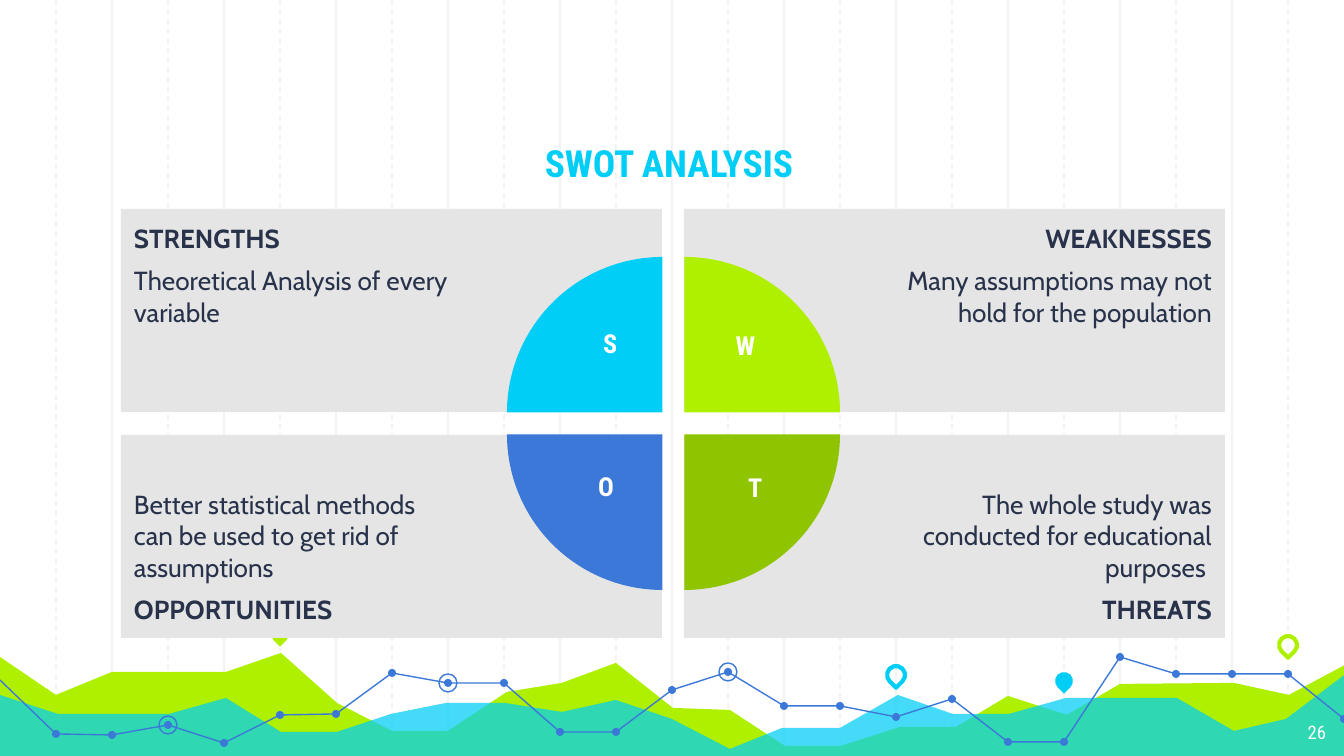
"""Build a SWOT analysis slide over a decorative chart landscape."""
from dataclasses import dataclass
from typing import Optional

from lxml import etree
from pptx import Presentation
from pptx.dml.color import RGBColor
from pptx.enum import dml, shapes, text
from pptx.oxml import ns
from pptx.util import Emu, Pt

EMU_PER_PX = 914400 / 134.4
WIDTH, HEIGHT, STEP = 1344, 756, 56
INSET, WIDE_INSET = 13, 202

CYAN = RGBColor(0x00, 0xCE, 0xF6)
LIME = RGBColor(0xAF, 0xF0, 0x00)
GREEN = RGBColor(0x8E, 0xC4, 0x00)
BLUE = RGBColor(0x3C, 0x78, 0xD8)
NAVY = RGBColor(0x28, 0x32, 0x4A)
GREY = RGBColor(0xE5, 0xE5, 0xE5)
PALE = RGBColor(0xF3, 0xF3, 0xF3)
WHITE = RGBColor(0xFF, 0xFF, 0xFF)
HEADING_FONT, BODY_FONT = "Roboto Condensed", "Cabin"

LIME_HILLS = [
    (-3, 655), (56, 695), (112, 672), (226, 672), (281, 653), (337, 703), (392, 731),
    (448, 731), (507, 692), (562, 683), (616, 663), (673, 708), (730, 710), (785, 746),
    (841, 746), (900, 727), (956, 727), (1008, 696), (1067, 715), (1120, 684),
    (1234, 683), (1289, 695), (1347, 664), (1346, 758), (-4, 758),
]
CYAN_HILLS = [
    (-3, 694), (58, 714), (169, 714), (226, 698), (281, 732), (337, 732), (391, 714),
    (446, 703), (505, 703), (562, 712), (616, 700), (672, 719), (730, 749), (782, 728),
    (840, 728), (898, 695), (953, 714), (1009, 714), (1066, 698), (1177, 698),
    (1234, 731), (1286, 719), (1347, 673), (1347, 759), (-4, 759),
]
TREND_HEIGHTS = [
    680, 734, 735, 725, 743, 715, 714, 673, 683, 683, 732, 732, 690,
    672, 706, 706, 717, 699, 742, 742, 657, 674, 674, 674, 719,
]
TREND = [(index * STEP, y) for index, y in enumerate(TREND_HEIGHTS)]
TREND_SECTIONS = [(0, 11), (11, 20), (20, 24)]
RINGED_POINTS = [3, 8, 13]


@dataclass(frozen=True)
class Box:
    """A rectangle in px."""
    left: int
    top: int
    width: int
    height: int

    def emu(self) -> list[Emu]:
        """Return the four lengths in EMU."""
        return [px(n) for n in (self.left, self.top, self.width, self.height)]


@dataclass(frozen=True)
class Pin:
    """A map pin, either filled or outlined."""
    x: int
    y: int
    color: RGBColor
    filled: bool


@dataclass(frozen=True)
class Quadrant:
    """One SWOT card with its pie quarter and letter."""
    heading: str
    body: str
    column: int
    row: int
    color: RGBColor
    rotation: int
    letter_box: Box


PINS = [
    Pin(280, 634, LIME, True), Pin(896, 675, CYAN, False),
    Pin(1064, 681, CYAN, True), Pin(1288, 645, LIME, False),
]
QUADRANTS = [
    Quadrant("STRENGTHS", "Theoretical Analysis of every variable",
             0, 0, CYAN, 0, Box(590, 321, 35, 66)),
    Quadrant("WEAKNESSES", "Many assumptions may not hold for the population",
             1, 0, LIME, 90, Box(720, 323, 51, 65)),
    Quadrant("OPPORTUNITIES", "Better statistical methods can be used to get rid of assumptions",
             0, 1, BLUE, 270, Box(585, 464, 39, 66)),
    Quadrant("THREATS", "The whole study was conducted for educational purposes ",
             1, 1, GREEN, 180, Box(735, 465, 34, 65)),
]


def px(length: int) -> Emu:
    """Convert px to EMU."""
    return Emu(round(length * EMU_PER_PX))


def paint(shape, fill: Optional[RGBColor], line: Optional[RGBColor] = None, weight: float = 0.75) -> None:
    """Set fill and outline and drop the shadow."""
    shape.shadow.inherit = False
    if fill is None:
        shape.fill.background()
    else:
        shape.fill.solid()
        shape.fill.fore_color.rgb = fill
    if line is None:
        shape.line.fill.background()
    else:
        shape.line.color.rgb = line
        shape.line.width = Pt(weight)


def add_preset(slide, kind, box: Box, fill: Optional[RGBColor],
               line: Optional[RGBColor] = None, weight: float = 0.75):
    """Add a painted preset shape."""
    shape = slide.shapes.add_shape(kind, *box.emu())
    paint(shape, fill, line, weight)
    return shape


def add_circle(slide, center: tuple[int, int], size: int, fill, line=None) -> None:
    """Add a circle around a centre point."""
    x, y = center
    box = Box(x - size // 2, y - size // 2, size, size)
    add_preset(slide, shapes.MSO_SHAPE.OVAL, box, fill, line)


def add_path(slide, points: list[tuple[int, int]], closed: bool):
    """Add a freeform through the points."""
    builder = slide.shapes.build_freeform(*points[0], scale=EMU_PER_PX)
    builder.add_line_segments(points[1:], close=closed)
    return builder.convert_to_shape()


def add_grid_line(slide, x: int, dashed: bool) -> None:
    """Add one vertical grid line."""
    line = slide.shapes.add_connector(shapes.MSO_CONNECTOR.STRAIGHT, px(x), 0, px(x), px(760))
    line.line.color.rgb = PALE
    line.line.width = Pt(0.75)
    if dashed:
        line.line.dash_style = dml.MSO_LINE.DASH
    etree.SubElement(line.element.spPr, ns.qn("a:effectLst"))


def add_pin(slide, pin: Pin) -> None:
    """Add a teardrop pin pointing down."""
    fill, line = (pin.color, None) if pin.filled else (None, pin.color)
    box = Box(pin.x - 9, pin.y - 9, 18, 18)
    add_preset(slide, shapes.MSO_SHAPE.TEAR, box, fill, line, 2.25).rotation = 135


def style(paragraph, font: str, size: int, color: RGBColor, bold: bool, alignment) -> None:
    """Format a whole paragraph."""
    paragraph.alignment = alignment
    paragraph.font.name = font
    paragraph.font.size = Pt(size)
    paragraph.font.color.rgb = color
    paragraph.font.bold = bold


def set_insets(frame, left: int, right: int) -> None:
    """Set the margins of a text frame and let it wrap."""
    frame.word_wrap = True
    frame.margin_left, frame.margin_right = px(left), px(right)
    frame.margin_top = frame.margin_bottom = px(INSET)


def add_label(slide, box: Box, words: str, size: int, bold: bool, alignment):
    """Add a white one-line label."""
    frame = slide.shapes.add_textbox(*box.emu()).text_frame
    frame.word_wrap = True
    frame.text = words
    style(frame.paragraphs[0], HEADING_FONT, size, WHITE, bold, alignment)
    return frame


def add_card(slide, quadrant: Quadrant) -> None:
    """Add the grey card of a quadrant with heading and body."""
    box = Box(121 + 563 * quadrant.column, 209 + 226 * quadrant.row, 541, 203)
    frame = add_preset(slide, shapes.MSO_SHAPE.RECTANGLE, box, GREY).text_frame
    set_insets(frame, *((WIDE_INSET, INSET) if quadrant.column else (INSET, WIDE_INSET)))
    alignment = text.PP_ALIGN.RIGHT if quadrant.column else text.PP_ALIGN.LEFT
    frame.vertical_anchor = text.MSO_ANCHOR.BOTTOM if quadrant.row else text.MSO_ANCHOR.TOP
    lines = [(quadrant.heading, True), (quadrant.body, False)]
    if quadrant.row:
        lines.reverse()
    frame.text = "\n".join(words for words, _ in lines)
    for paragraph, (_, bold) in zip(frame.paragraphs, lines):
        style(paragraph, BODY_FONT, 14, NAVY, bold, alignment)
    frame.paragraphs[1].space_before = frame.paragraphs[1].space_after = Pt(6)


def add_pie(slide, quadrant: Quadrant) -> None:
    """Add the pie quarter of a quadrant."""
    box = Box(507 + 22 * quadrant.column, 257 + 22 * quadrant.row, 311, 311)
    pie = add_preset(slide, shapes.MSO_SHAPE.PIE, box, quadrant.color)
    pie.adjustments[0], pie.adjustments[1] = 108, 162
    pie.rotation = quadrant.rotation


def add_landscape(slide) -> None:
    """Add the grid, hills, trend line and pins."""
    for first, dashed in ((2 * STEP, False), (STEP, True)):
        for x in range(first, WIDTH, 2 * STEP):
            add_grid_line(slide, x, dashed)
    paint(add_path(slide, LIME_HILLS, True), LIME)
    hills = add_path(slide, CYAN_HILLS, True)
    paint(hills, CYAN)
    color = hills.element.spPr.find(ns.qn("a:solidFill"))[0]
    etree.SubElement(color, ns.qn("a:alpha"), val="73000")
    for pin in PINS:
        add_pin(slide, pin)
    for first, last in TREND_SECTIONS:
        paint(add_path(slide, TREND[first:last + 1], False), None, BLUE)
    for point in TREND[1:]:
        add_circle(slide, point, 8, BLUE)
    for index in RINGED_POINTS:
        add_circle(slide, TREND[index], 18, None, BLUE)


def add_title(slide) -> None:
    """Place and format the title in front of the landscape."""
    title = slide.shapes.title
    title.element.getparent().append(title.element)
    title.left, title.top, title.width, title.height = Box(155, 93, 1028, 105).emu()
    frame = title.text_frame
    frame.text = "SWOT ANALYSIS"
    set_insets(frame, INSET, INSET)
    frame.auto_size = text.MSO_AUTO_SIZE.NONE
    frame.vertical_anchor = text.MSO_ANCHOR.BOTTOM
    style(frame.paragraphs[0], HEADING_FONT, 20, CYAN, True, text.PP_ALIGN.CENTER)


def main() -> None:
    """Build and save the presentation."""
    presentation = Presentation()
    presentation.slide_width, presentation.slide_height = px(WIDTH), px(HEIGHT)
    slide = presentation.slides.add_slide(presentation.slide_layouts.get_by_name("Title Only"))
    add_landscape(slide)
    add_title(slide)
    number = add_label(slide, Box(1258, 710, 81, 47), "26", 10, False, text.PP_ALIGN.RIGHT)
    set_insets(number, INSET, INSET)
    for quadrant in QUADRANTS:
        add_card(slide, quadrant)
    for quadrant in QUADRANTS:
        add_pie(slide, quadrant)
        add_label(slide, quadrant.letter_box, quadrant.heading[0], 14, True, text.PP_ALIGN.CENTER)
    presentation.save("out.pptx")


if __name__ == "__main__":
    main()
